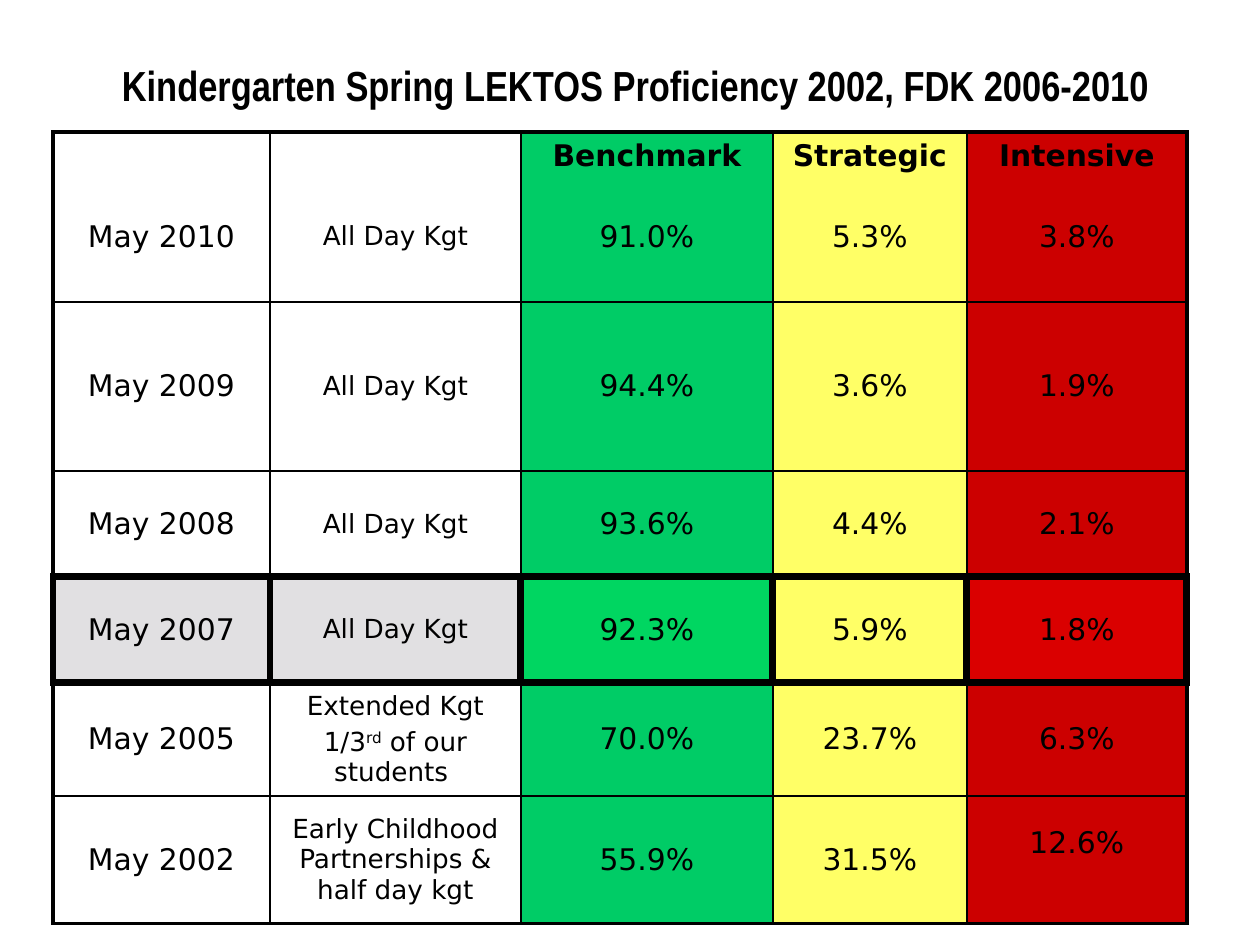
from lxml.etree import SubElement
from pptx import Presentation
from pptx.dml.color import RGBColor
from pptx.enum.text import MSO_ANCHOR as Anchor, PP_ALIGN as Align
from pptx.oxml.ns import qn
from pptx.util import Emu, Pt

EMU_PER_PX = 914400 / 126

BLACK = RGBColor(0x00, 0x00, 0x00)
WHITE = RGBColor(0xFF, 0xFF, 0xFF)
GREEN = RGBColor(0x00, 0xCC, 0x66)
YELLOW = RGBColor(0xFF, 0xFF, 0x66)
RED = RGBColor(0xCC, 0x00, 0x00)
GREY = RGBColor(0xE1, 0xE0, 0xE2)
BRIGHT_GREEN = RGBColor(0x00, 0xD6, 0x61)
BRIGHT_RED = RGBColor(0xDA, 0x00, 0x00)

TITLE_FONT = "Arial Narrow"
TABLE_FONT = "DejaVu Sans"

COLUMN_WIDTHS = [217, 251, 252, 194, 220]
ROW_HEIGHTS = [170, 169, 106, 106, 113, 128]
COLUMN_FILLS = [WHITE, WHITE, GREEN, YELLOW, RED]
HIGHLIGHT_FILLS = [GREY, GREY, BRIGHT_GREEN, YELLOW, BRIGHT_RED]
HIGHLIGHT_ROW = 3
COLUMN_SIZES = [17, 15, 17, 17, 17]

# Line widths in points, from the first edge to the last
ROW_EDGES = [2.25, 1, 1, 4.5, 4.5, 1, 2.25]
COLUMN_EDGES = [2.25, 1, 1, 1, 1, 2.25]
HIGHLIGHT_EDGE = 4.5

# A cell is a list of paragraphs; a paragraph is a list of (text, superscript) runs
EXTENDED = [
    [("Extended Kgt", False)],
    [("1/3", False), ("rd", True), (" of our students ", False)],
]


def plain(*lines):
    return [[(line, False)] for line in lines]


ROWS = [
    [plain("May 2010"), plain("All Day Kgt"), plain("Benchmark", "91.0%"),
     plain("Strategic", "5.3%"), plain("Intensive", "3.8%")],
    [plain(text) for text in ("May 2009", "All Day Kgt", "94.4%", "3.6%", "1.9%")],
    [plain(text) for text in ("May 2008", "All Day Kgt", "93.6%", "4.4%", "2.1%")],
    [plain(text) for text in ("May 2007", "All Day Kgt", "92.3%", "5.9%", "1.8%")],
    [plain("May 2005"), EXTENDED, plain("70.0%"), plain("23.7%"), plain("6.3%")],
    [plain(text) for text in (
        "May 2002", "Early Childhood Partnerships & half day kgt",
        "55.9%", "31.5%", "12.6%")],
]


def px(length):
    return Emu(round(length * EMU_PER_PX))


def set_borders(cell, widths):
    """Draw black borders; widths are points for left, right, top, bottom."""
    properties = cell._tc.get_or_add_tcPr()
    for position, (side, width) in enumerate(zip("LRTB", widths)):
        line = SubElement(properties, qn(f"a:ln{side}"), w=str(Pt(width)))
        fill = SubElement(line, qn("a:solidFill"))
        SubElement(fill, qn("a:srgbClr"), val=str(BLACK))
        properties.insert(position, line)


def write_cell(cell, paragraphs, size, paragraph_gap):
    frame = cell.text_frame
    for index, runs in enumerate(paragraphs):
        paragraph = frame.add_paragraph() if index else frame.paragraphs[0]
        paragraph.alignment = Align.CENTER
        paragraph.space_before = Pt(paragraph_gap if index else 0)
        for text, superscript in runs:
            run = paragraph.add_run()
            run.text = text
            if superscript:
                run.font._element.set("baseline", "30000")
        font = paragraph.font
        font.name, font.size, font.color.rgb = TABLE_FONT, Pt(size), BLACK


def add_title(slide, left, top, width, height):
    frame = slide.shapes.add_textbox(px(left), px(top), px(width), px(height)).text_frame
    frame.word_wrap = False
    frame.vertical_anchor = Anchor.MIDDLE
    paragraph = frame.paragraphs[0]
    paragraph.text = "Kindergarten Spring LEKTOS Proficiency 2002, FDK 2006-2010"
    paragraph.alignment = Align.CENTER
    font = paragraph.font
    font.name, font.size, font.bold, font.color.rgb = TITLE_FONT, Pt(24), True, BLACK


def add_proficiency_table(slide, left, top):
    shape = slide.shapes.add_table(
        len(ROW_HEIGHTS), len(COLUMN_WIDTHS), px(left), px(top),
        px(sum(COLUMN_WIDTHS)), px(sum(ROW_HEIGHTS)))
    table = shape.table
    table.first_row = table.horz_banding = False
    for column, width in zip(table.columns, COLUMN_WIDTHS):
        column.width = px(width)
    for row, height in zip(table.rows, ROW_HEIGHTS):
        row.height = px(height)

    for r, contents in enumerate(ROWS):
        highlighted = r == HIGHLIGHT_ROW
        fills = HIGHLIGHT_FILLS if highlighted else COLUMN_FILLS
        edges = [HIGHLIGHT_EDGE] * len(COLUMN_EDGES) if highlighted else COLUMN_EDGES
        for c, paragraphs in enumerate(contents):
            cell = table.cell(r, c)
            cell.fill.solid()
            cell.fill.fore_color.rgb = fills[c]
            set_borders(cell, [*edges[c:c + 2], *ROW_EDGES[r:r + 2]])
            cell.vertical_anchor = Anchor.MIDDLE
            headed = r == 0 and c >= 2
            write_cell(cell, paragraphs, COLUMN_SIZES[c], 26.5 if headed else 3)
            if headed:
                cell.vertical_anchor = Anchor.TOP
                cell.text_frame.paragraphs[0].font.bold = True
            elif r == 0:
                cell.margin_top = px(46)
    table.cell(len(ROWS) - 1, len(COLUMN_WIDTHS) - 1).margin_bottom = px(40)


def main():
    presentation = Presentation()
    presentation.slide_width, presentation.slide_height = px(1260), px(945)
    slide = presentation.slides.add_slide(presentation.slide_layouts[6])
    add_title(slide, 105, 53, 1061, 63)
    add_proficiency_table(slide, 53, 132)
    presentation.save("out.pptx")


if __name__ == "__main__":
    main()
